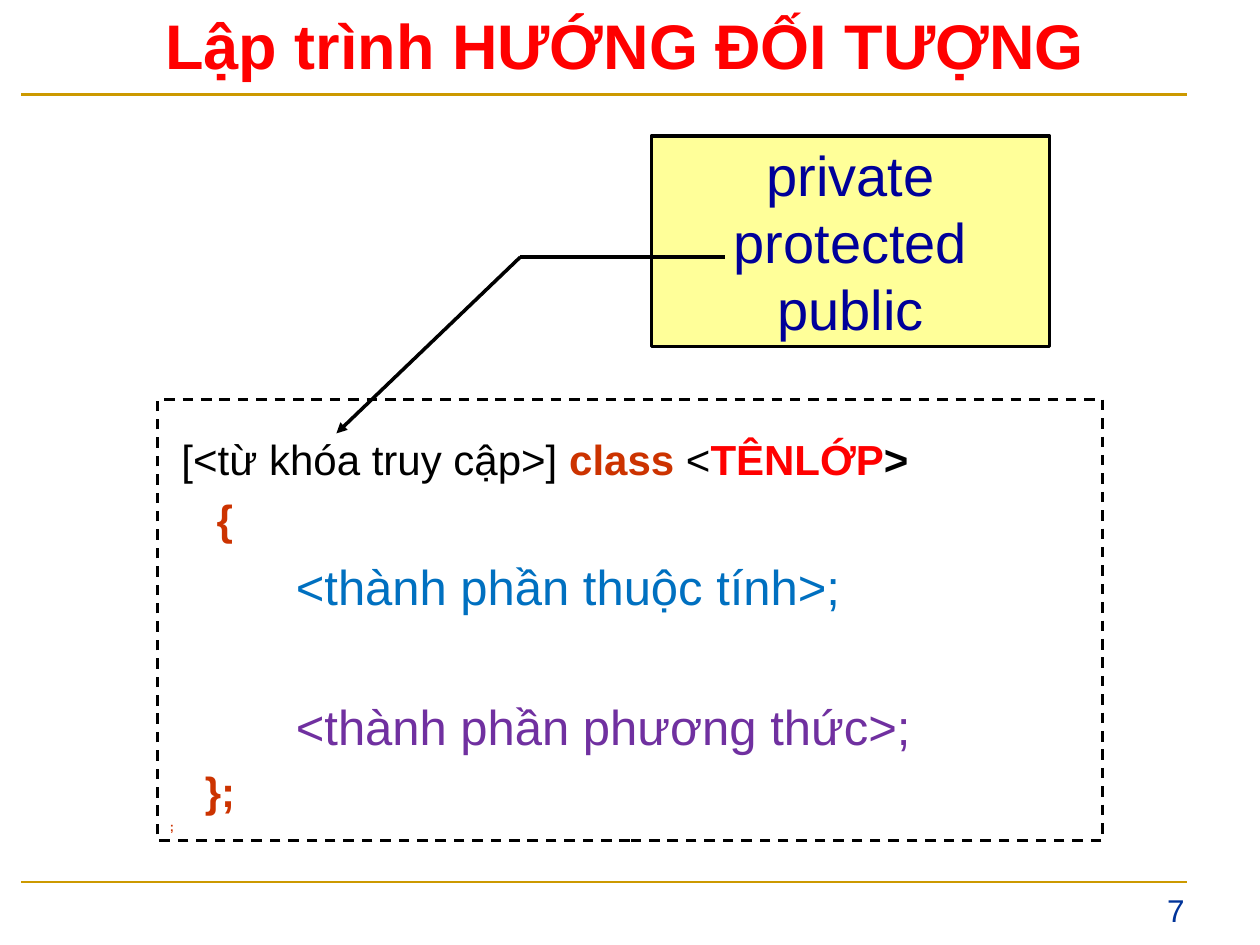
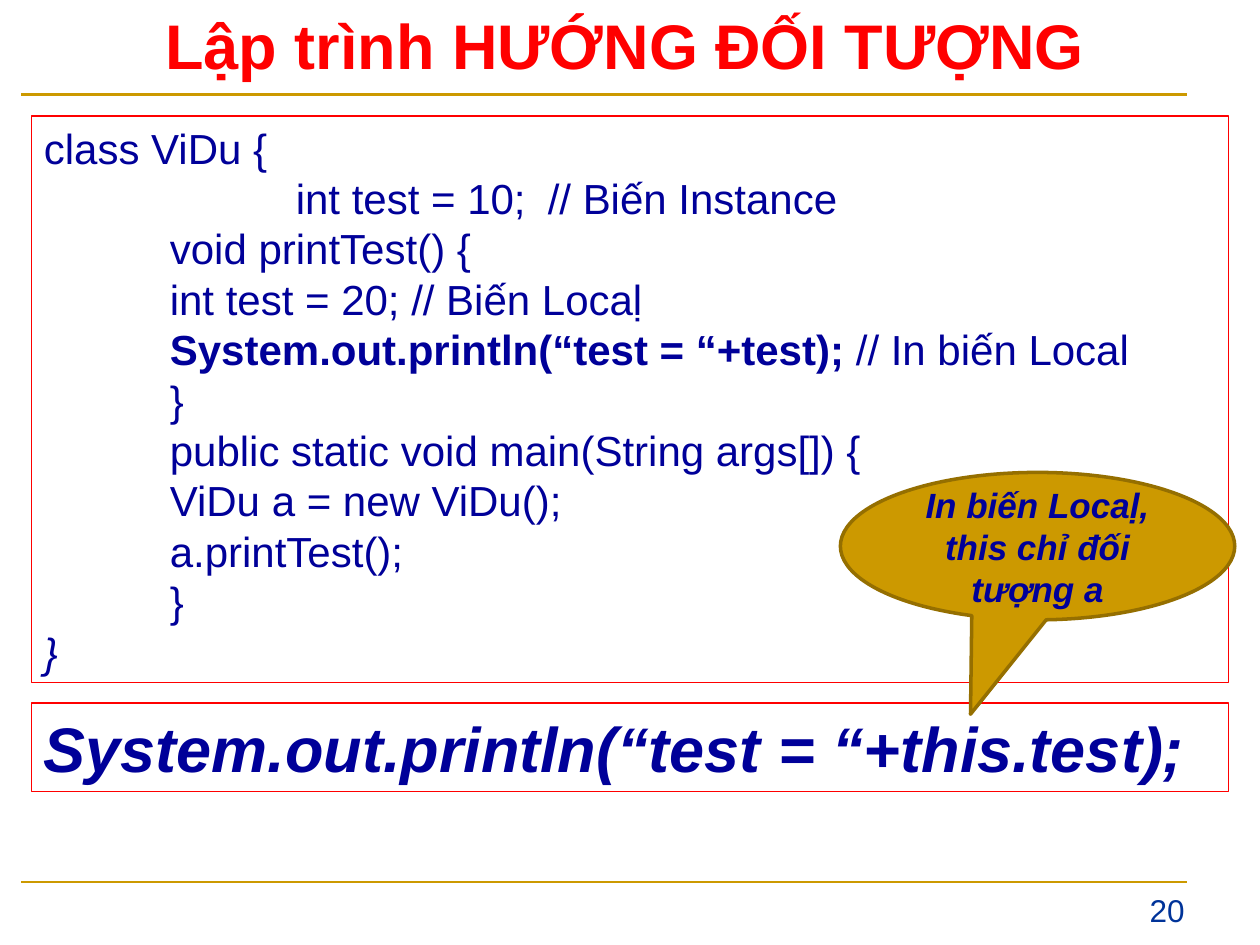
from dataclasses import dataclass

from lxml import etree
from pptx import Presentation
from pptx.dml.color import RGBColor
from pptx.enum.dml import MSO_LINE
from pptx.enum.shapes import MSO_CONNECTOR, MSO_SHAPE
from pptx.enum.text import MSO_ANCHOR, MSO_AUTO_SIZE, PP_ALIGN
from pptx.oxml.ns import qn
from pptx.util import Inches, Pt

FONT = "Arial"
TITLE = "Lập trình HƯỚNG ĐỐI TƯỢNG"
BLACK = RGBColor(0x00, 0x00, 0x00)
RED = RGBColor(0xFF, 0x00, 0x00)
GOLD = RGBColor(0xCC, 0x99, 0x00)
DARK_GOLD = RGBColor(0x95, 0x6F, 0x00)
NAVY = RGBColor(0x00, 0x00, 0x99)
NUMBER_BLUE = RGBColor(0x00, 0x33, 0x99)
RUST = RGBColor(0xCC, 0x33, 0x00)
SKY = RGBColor(0x00, 0x70, 0xC0)
PURPLE = RGBColor(0x70, 0x30, 0xA0)
YELLOW = RGBColor(0xFF, 0xFF, 0x99)

LEFT, CENTER, RIGHT = PP_ALIGN.LEFT, PP_ALIGN.CENTER, PP_ALIGN.RIGHT
TOP, MIDDLE = MSO_ANCHOR.TOP, MSO_ANCHOR.MIDDLE
NO_AUTOFIT = MSO_AUTO_SIZE.NONE
STRAIGHT = MSO_CONNECTOR.STRAIGHT
RECTANGLE, CALLOUT = MSO_SHAPE.RECTANGLE, MSO_SHAPE.OVAL_CALLOUT
DASH = MSO_LINE.DASH


@dataclass
class Span:
    text: str
    size: float = 24
    color: RGBColor = NAVY
    bold: bool = False
    italic: bool = False


@dataclass
class Para:
    spans: list[Span]
    space_before: float = 0


@dataclass
class Box:
    left: float
    top: float
    width: float
    height: float
    paras: list[Para]
    shape: int = RECTANGLE
    fill: RGBColor | None = None
    line: RGBColor = BLACK
    line_width: float = 2
    dash: int | None = None
    align: int = LEFT
    anchor: int = TOP
    wrap: bool = True
    line_spacing: float = 1
    top_inset: float = 0.05


@dataclass
class Line:
    start: tuple[float, float]
    end: tuple[float, float]
    color: RGBColor
    width: float
    arrow: bool = False


HEADER_RULE = Line((0.17, 0.75), (9.42, 0.75), GOLD, 2.25)
FOOTER_RULE = Line((0.17, 7), (9.42, 7), GOLD, 1.5)


def add_tabs(paragraph) -> None:
    tabs = etree.SubElement(paragraph._p.get_or_add_pPr(), qn("a:tabLst"))
    for inch in range(8):
        etree.SubElement(tabs, qn("a:tab"), pos=str(Inches(inch)), algn="l")


def write_text(frame, paras: list[Para], align=LEFT, anchor=TOP, wrap=True,
               line_spacing: float = 1, top_inset: float = 0.05) -> None:
    frame.auto_size = NO_AUTOFIT
    frame.word_wrap = wrap
    frame.vertical_anchor = anchor
    frame.margin_left = frame.margin_right = Inches(0.1)
    frame.margin_top, frame.margin_bottom = Inches(top_inset), Inches(0.05)
    for index, para in enumerate(paras):
        paragraph = frame.add_paragraph() if index else frame.paragraphs[0]
        add_tabs(paragraph)
        paragraph.alignment = align
        paragraph.line_spacing = line_spacing
        paragraph.space_before = Pt(para.space_before)
        for span in para.spans:
            run = paragraph.add_run()
            run.text = span.text
            run.font.name = FONT
            run.font.size = Pt(span.size)
            run.font.color.rgb = span.color
            run.font.bold = span.bold
            run.font.italic = span.italic


def draw_box(page, box: Box):
    shape = page.shapes.add_shape(box.shape, Inches(box.left), Inches(box.top),
                                  Inches(box.width), Inches(box.height))
    shape.shadow.inherit = False
    if box.fill is None:
        shape.fill.background()
    else:
        shape.fill.solid()
        shape.fill.fore_color.rgb = box.fill
    shape.line.color.rgb = box.line
    shape.line.width = Pt(box.line_width)
    if box.dash is not None:
        shape.line.dash_style = box.dash
    write_text(shape.text_frame, box.paras, box.align, box.anchor, box.wrap,
               box.line_spacing, box.top_inset)
    return shape


def draw_line(page, line: Line) -> None:
    ends = [Inches(value) for value in (*line.start, *line.end)]
    connector = page.shapes.add_connector(STRAIGHT, *ends)
    connector.line.color.rgb = line.color
    connector.line.width = Pt(line.width)
    if line.arrow:
        etree.SubElement(connector.line._get_or_add_ln(), qn("a:tailEnd"), type="triangle")
    etree.SubElement(connector._element.spPr, qn("a:effectLst"))


def add_page(deck, number: int):
    page = deck.slides.add_slide(deck.slide_layouts[5])
    title = page.shapes.title
    title.left, title.top = Inches(0), Inches(0)
    title.width, title.height = Inches(9.92), Inches(0.7)
    write_text(title.text_frame, [Para([Span(TITLE, 36, RED, bold=True)])], CENTER)
    draw_line(page, HEADER_RULE)
    draw_line(page, FOOTER_RULE)
    label = page.shapes.add_textbox(Inches(7.67), Inches(7.02), Inches(1.83), Inches(0.4))
    write_text(label.text_frame, [Para([Span(str(number), 18, NUMBER_BLUE)])], RIGHT)
    return page


def build_class_syntax(deck) -> None:
    page = add_page(deck, 7)
    syntax = [
        Para([Span(" [<từ khóa truy cập>] ", color=BLACK),
              Span("class", color=RUST, bold=True),
              Span(" <", color=BLACK),
              Span("TÊNLỚP", color=RED, bold=True),
              Span(">", color=BLACK, bold=True)]),
        Para([Span("    ", color=BLACK), Span("{", color=RUST, bold=True)]),
        Para([Span("\t<thành phần thuộc tính>;", 28, SKY)]),
        Para([Span("\t<thành phần phương thức>;", 28, PURPLE)], space_before=40),
        Para([Span("   ", color=BLACK), Span("};", color=RUST, bold=True)]),
        Para([Span(";", 7, RUST, bold=True)]),
    ]
    draw_box(page, Box(1.25, 3.17, 7.5, 3.5, syntax, line_width=1.5, dash=DASH,
                       line_spacing=1.2, top_inset=0.19))
    keywords = [Para([Span(word, 32)]) for word in ("private", "protected", "public")]
    draw_box(page, Box(5.17, 1.08, 3.16, 1.67, keywords, fill=YELLOW,
                       align=CENTER, anchor=MIDDLE, wrap=False))
    elbow = (4.13, 2.04)
    draw_line(page, Line((5.75, 2.04), elbow, BLACK, 2))
    draw_line(page, Line(elbow, (2.67, 3.44), BLACK, 2, arrow=True))


def build_this_example(deck) -> None:
    page = add_page(deck, 20)
    code = [
        [Span("class ViDu {")],
        [Span("\t\tint test = 10;\t// Biến Instance")],
        [Span("\tvoid printTest() {")],
        [Span("\tint test = 20; // Biến Locaḷ")],
        [Span("\t"), Span("System.out.println(“test = “+test);", bold=True),
         Span(" // In biến Local")],
        [Span("\t}")],
        [Span("\tpublic static void main(String args[]) {")],
        [Span("\tViDu a = new ViDu();")],
        [Span("\ta.printTest();")],
        [Span("\t}")],
        [Span("}", italic=True)],
    ]
    statement = [Span("System.out.println(“test = “+this.test);", 36, bold=True, italic=True)]
    for top, height, lines in ((0.92, 4.5, code), (5.58, 0.7, [statement])):
        draw_box(page, Box(0.25, top, 9.5, height, [Para(spans) for spans in lines],
                           line=RED, line_width=0.75))
    remark = Span("In biến Locaḷ, this chỉ đối tượng a", 20, bold=True, italic=True)
    callout = draw_box(page, Box(6.67, 3.75, 3.13, 1.17, [Para([remark])], CALLOUT,
                                 GOLD, DARK_GOLD, align=CENTER, anchor=MIDDLE))
    callout.adjustments[0] = -0.17
    callout.adjustments[1] = 1.14


def main() -> None:
    deck = Presentation()
    deck.slide_width, deck.slide_height = Inches(10), Inches(7.5)
    build_class_syntax(deck)
    build_this_example(deck)
    deck.save("out.pptx")


if __name__ == "__main__":
    main()
